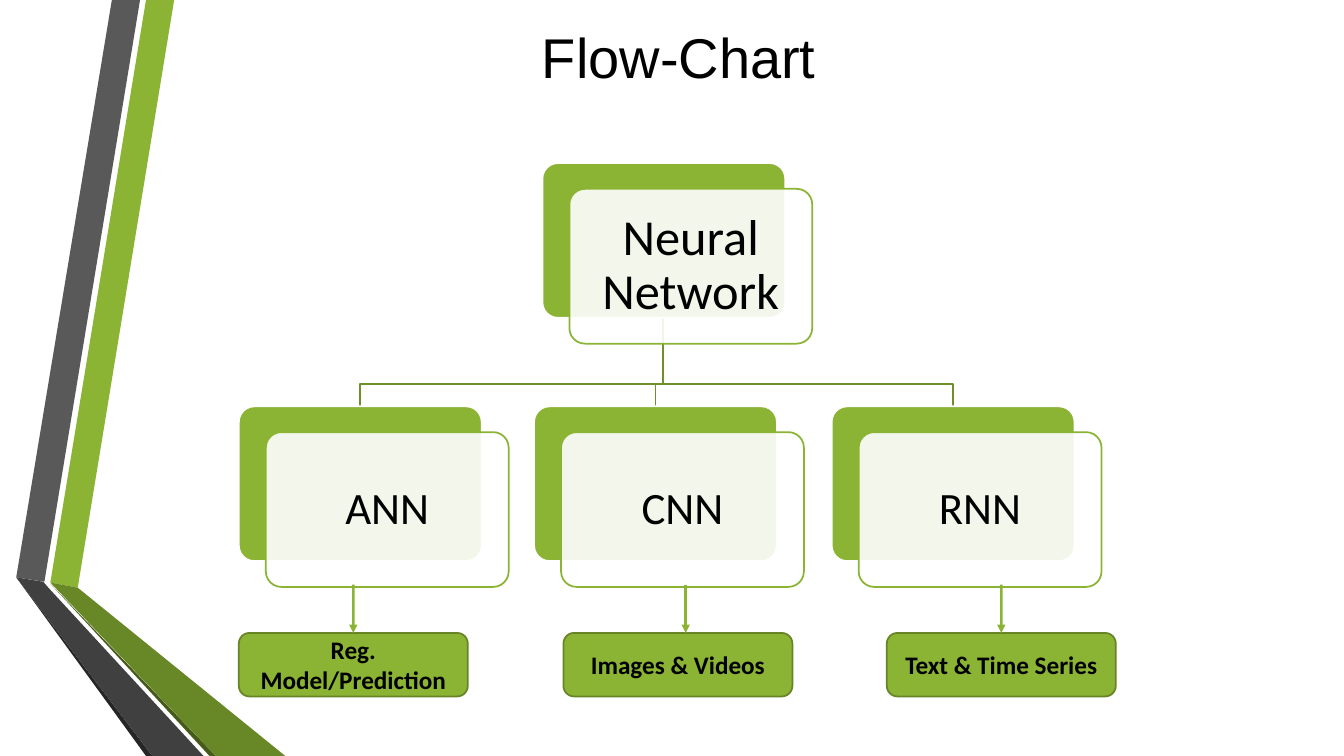
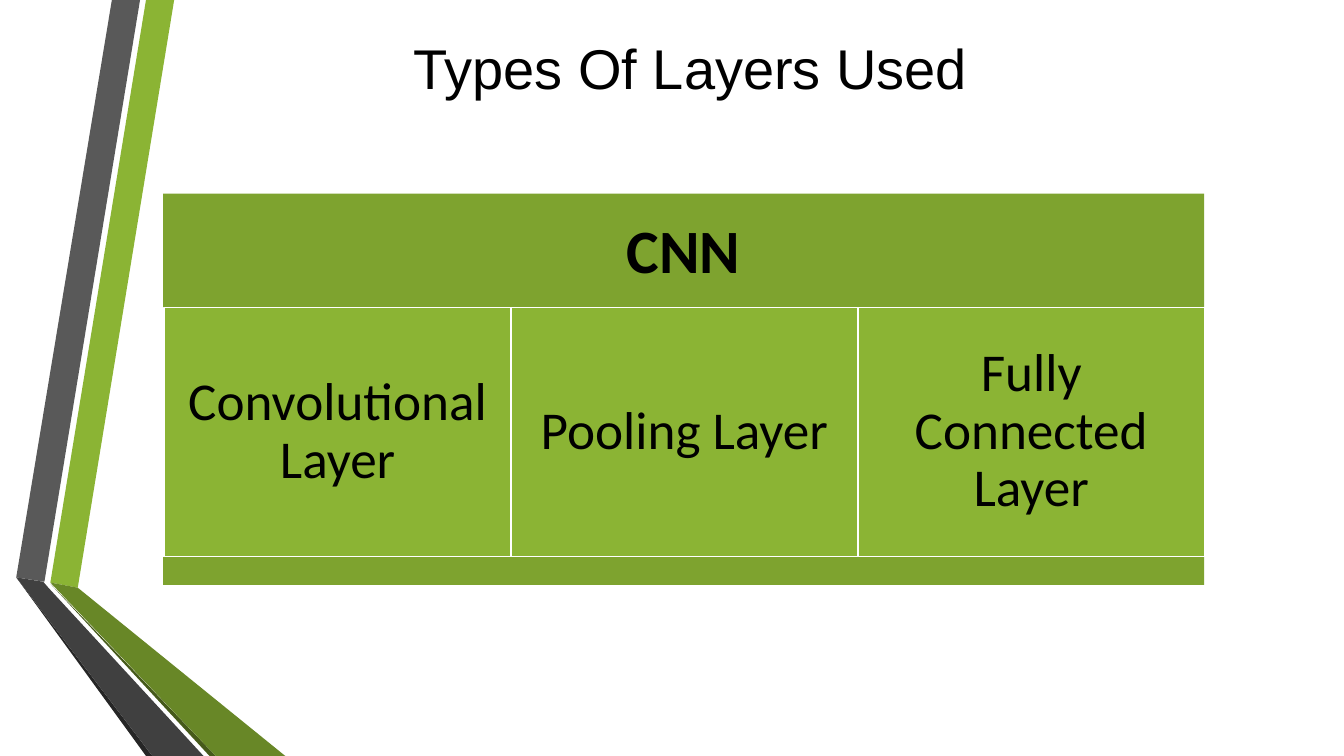
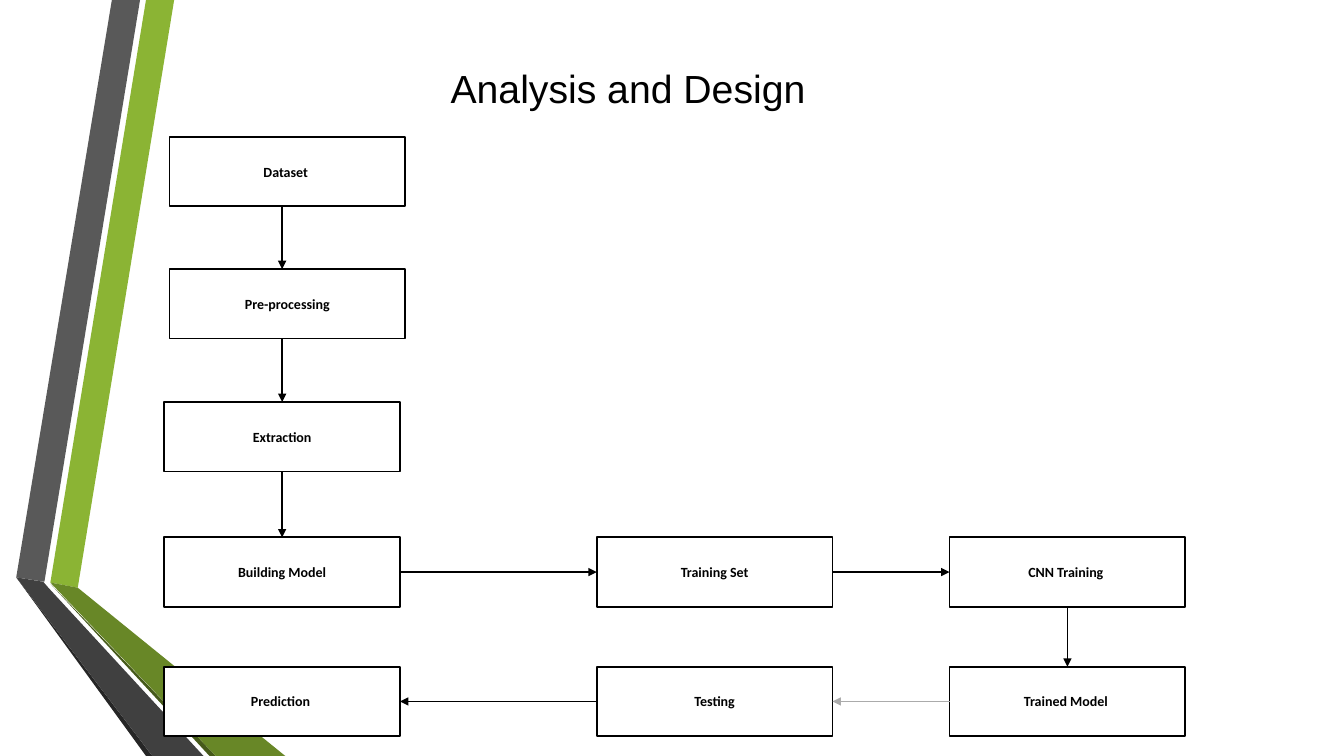
from dataclasses import dataclass

from lxml import etree
from pptx import Presentation
from pptx import util as u
from pptx.dml import color
from pptx.enum import shapes, text
from pptx.oxml import ns


@dataclass(frozen=True)
class Theme:
    green: str = "8BB434"
    moss: str = "7EA32F"
    branch: str = "6F902A"
    edge: str = "678526"
    olive: str = "688727"
    shade: str = "465A1A"
    grey: str = "595959"
    coal: str = "404040"
    soot: str = "262626"
    pale: str = "ABABAB"
    black: str = "000000"
    white: str = "FFFFFF"
    head: str = "Arial"
    body: str = "Calibri"
    title: int = 40
    small: int = 28
    band: int = 44
    cell: int = 38
    root: int = 36
    card: int = 32
    leaf: int = 18
    step: int = 10
    thin: float = 0.75
    line: float = 1.25
    arrow: float = 1.75


T = Theme()
KIND = shapes.MSO_SHAPE
WIDE, HIGH = 33.87, 19.05

RIBBON = (
    (T.green, [(1.27, 14.68), (1.96, 14.81), (4.39, 0), (3.68, 0)]),
    (T.grey, [(3.53, 0), (2.82, 0), (0.41, 14.55), (1.12, 14.66)]),
    (T.soot, [(0.41, 14.55), (3.68, HIGH), (3.84, HIGH)]),
    (T.shade, [(1.27, 14.71), (5.28, HIGH), (5.44, HIGH)]),
    (T.olive, [(1.27, 14.68), (5.44, HIGH), (7.19, HIGH), (1.96, 14.81)]),
    (T.coal, [(5.13, HIGH), (1.22, 14.81), (1.09, 14.66), (0.41, 14.55), (3.84, HIGH)]),
)


def rgb(code):
    return color.RGBColor.from_string(code)


def write(frame, words, size=T.step, font=T.body, bold=False, inset=None,
          space=1.0, anchor=text.MSO_ANCHOR.MIDDLE):
    frame.word_wrap = True
    frame.auto_size = text.MSO_AUTO_SIZE.NONE
    frame.vertical_anchor = anchor
    if inset is not None:
        frame.margin_left = frame.margin_right = u.Cm(inset)
        frame.margin_top = frame.margin_bottom = u.Cm(inset)
    para = frame.paragraphs[0]
    para.alignment = text.PP_ALIGN.CENTER
    para.line_spacing = space
    run = para.add_run()
    run.text = words
    run.font.size = u.Pt(size)
    run.font.name = font
    run.font.bold = bold
    run.font.color.rgb = rgb(T.black)


class Deck:
    def __init__(self):
        self.show = Presentation()
        self.show.slide_width = u.Cm(WIDE)
        self.show.slide_height = u.Cm(HIGH)
        self.layout = self.show.slide_layouts[5]
        self.slide = None

    def page(self, title, left, top, width, size=T.title):
        first = self.slide is None
        self.slide = self.show.slides.add_slide(self.layout)
        if first:
            self.ribbon()
        head = self.slide.shapes.title
        head.left, head.top = u.Cm(left), u.Cm(top)
        head.width, head.height = u.Cm(width), u.Cm(1.96)
        write(head.text_frame, title, size=size, font=T.head, anchor=text.MSO_ANCHOR.TOP)

    def ribbon(self):
        tree = self.layout.shapes.element
        for num, (fill, points) in enumerate(RIBBON, 20):
            item = self.trace(points, fill=fill).element
            item.xpath(".//p:cNvPr")[0].set("id", str(num))
            tree.append(item)

    def paint(self, shape, fill=None, line=None, alpha=None):
        shape.shadow.inherit = False
        if fill:
            shape.fill.solid()
            shape.fill.fore_color.rgb = rgb(fill)
        else:
            shape.fill.background()
        if alpha:
            tone = shape.element.spPr.find(ns.qn("a:solidFill"))[0]
            etree.SubElement(tone, ns.qn("a:alpha"), val=str(alpha * 1000))
        if line:
            shape.line.color.rgb = rgb(line)
            shape.line.width = u.Pt(T.line)
        else:
            shape.line.fill.background()
        return shape

    def trace(self, points, close=True, **look):
        spots = [(u.Cm(x), u.Cm(y)) for x, y in points]
        pen = self.slide.shapes.build_freeform(*spots[0])
        pen.add_line_segments(spots[1:], close=close)
        return self.paint(pen.convert_to_shape(), **look)

    def box(self, left, top, width, height, words="", kind=KIND.RECTANGLE,
            round=None, fill=T.green, line=None, alpha=None, **form):
        shape = self.slide.shapes.add_shape(
            kind, u.Cm(left), u.Cm(top), u.Cm(width), u.Cm(height))
        if round:
            shape.adjustments[0] = round
        self.paint(shape, fill, line, alpha)
        if words:
            write(shape.text_frame, words, **form)
        return shape

    def card(self, left, top, words, size, inset):
        look = dict(kind=KIND.ROUNDED_RECTANGLE, round=0.1)
        self.box(left, top, 6.12, 3.9, line=T.white, **look)
        self.box(left + 0.68, top + 0.65, 6.12, 3.9, words, fill=T.white, alpha=90,
                 line=T.green, size=size, inset=inset, space=0.9, **look)

    def arrow(self, start, end, tone=T.black, width=T.line):
        link = self.slide.shapes.add_connector(shapes.MSO_CONNECTOR.STRAIGHT, 0, 0, 0, 0)
        if isinstance(start[0], (int, float)):
            link.begin_x, link.begin_y = u.Cm(start[0]), u.Cm(start[1])
        else:
            link.begin_connect(*start)
        if isinstance(end[0], (int, float)):
            link.end_x, link.end_y = u.Cm(end[0]), u.Cm(end[1])
        else:
            link.end_connect(*end)
        link.line.color.rgb = rgb(tone)
        link.line.width = u.Pt(width)
        props = link.element.spPr
        etree.SubElement(props.find(ns.qn("a:ln")), ns.qn("a:tailEnd"), type="triangle")
        etree.SubElement(props, ns.qn("a:effectLst"))


def chart(deck):
    deck.page("Flow-Chart", 9.47, 0.43, 15.27)
    nets = (("ANN", 6.02), ("CNN", 13.46), ("RNN", 20.96))
    stem, base, bend, top = 16.71, 8, 9.68, 10.24
    for _, left in reversed(nets):
        mid = left + 3.06
        deck.trace([(stem, base), (stem, bend), (mid, bend), (mid, top)],
                   close=False, line=T.branch)
    deck.card(13.67, 4.11, "Neural Network", T.root, 0.48)
    for name, left in nets:
        deck.card(left, top, name, T.card, 0.43)
    tip, width = 15.95, 5.77
    uses = (("Reg. Model/Prediction", 6.02, None),
            ("Images & Videos", 14.2, 17.28),
            ("Text & Time Series", 22.35, None))
    for name, left, aim in uses:
        leaf = deck.box(left, tip, width, 1.6, name, kind=KIND.ROUNDED_RECTANGLE,
                        line=T.edge, size=T.leaf, bold=True)
        end = (aim, tip) if aim else (leaf, 0)
        deck.arrow((aim or left + width / 2, 14.73), end, T.green, T.arrow)


def layers(deck):
    deck.page("Types Of Layers Used ", 10.11, 0.71, 14.96)
    left, width, cell = 4.11, 26.24, 8.74
    deck.box(left, 4.88, width, 3, "CNN", fill=T.moss,
             size=T.band, bold=True, inset=0.46, space=0.9)
    names = ("Convolutional Layer", "Pooling Layer", "Fully Connected Layer")
    for num, name in enumerate(names):
        deck.box(left + 0.03 + num * cell, 7.75, cell, 6.28, name,
                 line=T.white, size=T.cell, inset=0.41, space=0.9)
    deck.box(left, 14.04, width, 0.7, fill=T.moss)


def design(deck):
    deck.page("Analysis and Design", 0, 1.5, 31.65, T.small)
    width, height = 5.94, 1.75
    first, second, third = 4.14, 15.04, 23.93
    inner, build, last = 4.27, 13.54, 16.8
    steps = (("Dataset ", inner, 3.45), ("Pre-processing", inner, 6.78),
             ("Extraction", first, 10.13), ("Building Model", first, build),
             ("Training Set", second, build), ("CNN Training ", third, build),
             ("Trained Model ", third, last), ("Testing", second, last),
             ("Prediction ", first, last))
    data, prep, pull, model, train, learn, done, test, guess = [
        deck.box(left, top, width, height, name, kind=KIND.FLOWCHART_PROCESS,
                 fill=T.white, line=T.black, bold=True)
        for name, left, top in steps]
    mid = first + width / 2
    deck.arrow((mid, 3.45 + height), (mid, 6.78))
    deck.arrow((mid, 6.78 + height), (pull, 0))
    deck.arrow((pull, 2), (model, 0))
    deck.arrow((model, 3), (train, 1))
    deck.arrow((train, 3), (learn, 1))
    deck.arrow((learn, 2), (done, 0))
    deck.arrow((done, 1), (test, 3), T.pale, T.thin)
    deck.arrow((test, 1), (guess, 3))


def main():
    deck = Deck()
    for draw in (chart, layers, design):
        draw(deck)
    deck.show.save("out.pptx")


if __name__ == "__main__":
    main()
